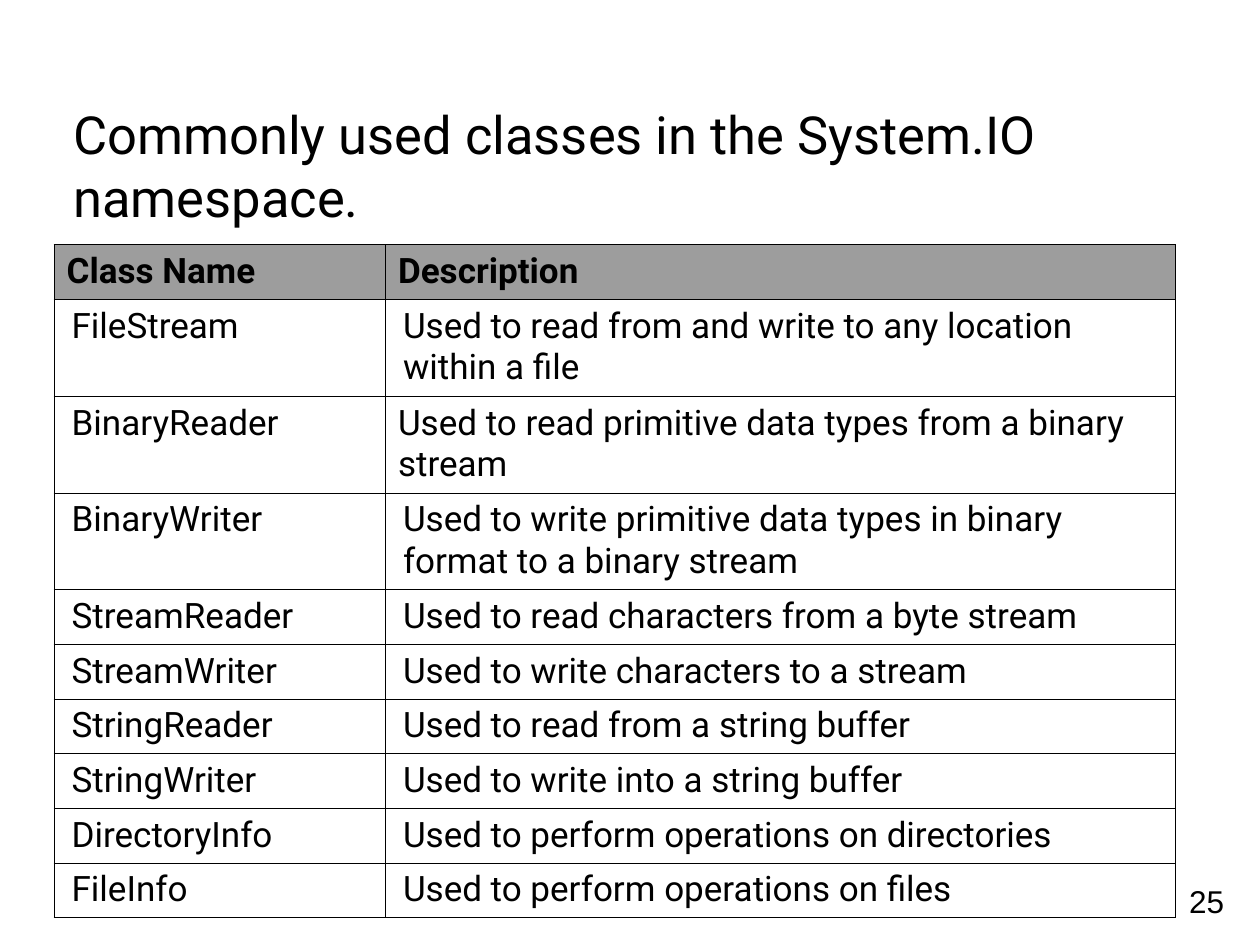
from lxml import etree
from pptx import Presentation
from pptx import util as u
from pptx.dml.color import RGBColor
from pptx.enum import text
from pptx.oxml.ns import qn

HEADINGS = ("Class Name", "Description")
CLASSES = (
    ("FileStream", "Used to read from and write to any location within a file"),
    ("BinaryReader", "Used to read primitive data types from a binary stream"),
    ("BinaryWriter", "Used to write primitive data types in binary format to a binary stream"),
    ("StreamReader", "Used to read characters from a byte stream"),
    ("StreamWriter", "Used to write characters to a stream"),
    ("StringReader", "Used to read from a string buffer"),
    ("StringWriter", "Used to write into a string buffer"),
    ("DirectoryInfo", "Used to perform operations on directories"),
    ("FileInfo", "Used to perform operations on files"),
)
FLUSH_CELLS = {(2, 1)}
COLUMN_WIDTHS = (6.68, 15.93)
ROW_HEIGHTS = (1.11,) + (1.95,) * 3 + (1.1,) * 6


def color(hex_code):
    return RGBColor.from_string(hex_code)


class SlideWriter:
    font = "Roboto"
    ink = "000000"
    header_fill = "9D9D9D"
    border_width = u.Pt(0.45)

    def __init__(self, slide):
        self.slide = slide

    def style(self, paragraph, size, font=None, bold=False):
        for run in paragraph.runs:
            run.font.name = font or self.font
            run.font.size = u.Pt(size)
            run.font.bold = bold
            run.font.color.rgb = color(self.ink)

    def label(self, wording, left, top, width, height, size, font=None,
              anchor=text.MSO_ANCHOR.TOP, side_inset=0.25):
        box = self.slide.shapes.add_textbox(*map(u.Cm, (left, top, width, height)))
        frame = box.text_frame
        frame.text = wording
        frame.word_wrap = True
        frame.vertical_anchor = anchor
        frame.margin_left = frame.margin_right = u.Cm(side_inset)
        self.style(frame.paragraphs[0], size, font)
        return frame.paragraphs[0]

    def border(self, cell):
        properties = cell._tc.get_or_add_tcPr()
        for position, side in enumerate(("lnL", "lnR", "lnT", "lnB")):
            line = etree.Element(qn(f"a:{side}"), w=str(self.border_width))
            fill = etree.SubElement(line, qn("a:solidFill"))
            etree.SubElement(fill, qn("a:srgbClr"), val=self.ink)
            properties.insert(position, line)

    def cell(self, cell, wording, header, indented):
        cell.text_frame.text = wording
        paragraph = cell.text_frame.paragraphs[0]
        self.style(paragraph, 20, bold=header)
        if header:
            cell.fill.solid()
            cell.fill.fore_color.rgb = color(self.header_fill)
        else:
            cell.fill.background()
        if indented:
            paragraph.space_before = u.Pt(6)
            paragraph.space_after = u.Pt(4)
            paragraph._p.get_or_add_pPr().set("marL", str(u.Cm(0.1)))
        self.border(cell)

    def table(self, rows, left, top):
        table = self.slide.shapes.add_table(
            len(rows), len(COLUMN_WIDTHS), u.Cm(left), u.Cm(top),
            u.Cm(sum(COLUMN_WIDTHS)), u.Cm(sum(ROW_HEIGHTS))).table
        table.horz_banding = False
        for column, width in zip(table.columns, COLUMN_WIDTHS):
            column.width = u.Cm(width)
        for r, (row, height) in enumerate(zip(rows, ROW_HEIGHTS)):
            table.rows[r].height = u.Cm(height)
            for c, wording in enumerate(row):
                header = r == 0
                indented = not header and (r, c) not in FLUSH_CELLS
                self.cell(table.cell(r, c), wording, header, indented)


def main():
    deck = Presentation()
    deck.slide_width, deck.slide_height = u.Cm(25.4), u.Cm(19.05)
    writer = SlideWriter(deck.slides.add_slide(deck.slide_layouts[6]))
    title = writer.label("Commonly used classes in the System.IO namespace.",
                         1.3, 1.93, 22.86, 2.79, 30,
                         anchor=text.MSO_ANCHOR.BOTTOM, side_inset=0.18)
    title.space_before = u.Pt(7.5)
    writer.label("25", 23.72, 17.65, 1.55, 1.02, 18, font="Arial")
    writer.table((HEADINGS,) + CLASSES, 1.09, 4.93)
    deck.save("out.pptx")


if __name__ == "__main__":
    main()
